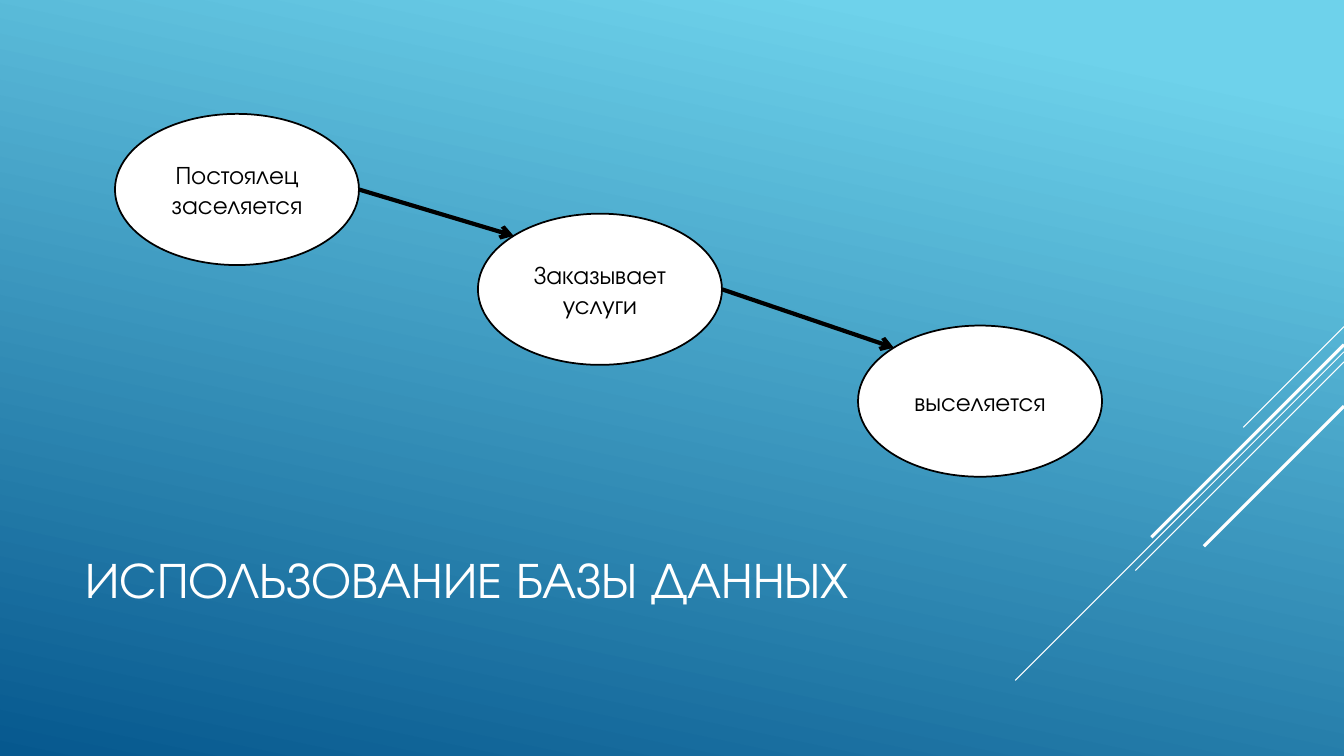
"""Build the slide on using the hotel database: three guest steps linked by arrows."""
import math

import lxml.etree
import pptx
import pptx.dml.color
import pptx.enum.dml
import pptx.enum.shapes
import pptx.enum.text
import pptx.oxml.ns
import pptx.util

Inches = pptx.util.Inches
RGBColor = pptx.dml.color.RGBColor
WHITE = RGBColor(0xFF, 0xFF, 0xFF)
BLACK = RGBColor(0, 0, 0)
SKY = RGBColor(0x6E, 0xD2, 0xEB)
DEEP_BLUE = RGBColor(0x06, 0x58, 0x8E)
FONT = "TeX Gyre Adventor"

SLIDE_WIDTH, SLIDE_HEIGHT = 13.33, 7.5
TITLE = "ИСПОЛЬЗОВАНИЕ БАЗЫ ДАННЫХ"
STEP_WIDTH, STEP_HEIGHT = 2.42, 1.5
STEPS = [
    ("Постоялец заселяется", 1.14, 1.13),
    ("Заказывает услуги", 4.74, 2.12),
    ("выселяется", 8.51, 3.23),
]
DIAGONALS = [
    (3.24, 1.0, 0.75),
    (3.49, 3.26, 0.75),
    (3.59, 2.07, 0.75),
    (3.42, 1.91, 2.25),
    (4.03, 1.39, 2.25),
]


def add_line(slide, start, end, color, weight, arrow=False):
    points = [Inches(value) for value in (*start, *end)]
    line = slide.shapes.add_connector(pptx.enum.shapes.MSO_CONNECTOR.STRAIGHT, *points)
    line.line.color.rgb = color
    line.line.width = pptx.util.Pt(weight)
    if arrow:
        outline = line.line._get_or_add_ln()
        lxml.etree.SubElement(outline, pptx.oxml.ns.qn("a:tailEnd"), type="arrow")
    lxml.etree.SubElement(line._element.spPr, pptx.oxml.ns.qn("a:effectLst"))


def write_text(shape, text, size, color, alignment):
    frame = shape.text_frame
    frame.text = text
    frame.word_wrap = True
    frame.vertical_anchor = pptx.enum.text.MSO_ANCHOR.MIDDLE
    paragraph = frame.paragraphs[0]
    paragraph.alignment = alignment
    font = paragraph.runs[0].font
    font.name = FONT
    font.size = pptx.util.Pt(size)
    font.color.rgb = color


def add_step(slide, text, left, top):
    step = slide.shapes.add_shape(
        pptx.enum.shapes.MSO_SHAPE.OVAL,
        Inches(left), Inches(top), Inches(STEP_WIDTH), Inches(STEP_HEIGHT),
    )
    step.shadow.inherit = False
    step.fill.solid()
    step.fill.fore_color.rgb = WHITE
    step.line.color.rgb = BLACK
    step.line.width = pptx.util.Pt(1.25)
    write_text(step, text, 18, BLACK, pptx.enum.text.PP_ALIGN.CENTER)


presentation = pptx.Presentation()
presentation.slide_width = Inches(SLIDE_WIDTH)
presentation.slide_height = Inches(SLIDE_HEIGHT)
slide = presentation.slides.add_slide(presentation.slide_layouts[6])

background = slide.background.fill
background.gradient()
background.gradient_angle = 360 - 102
for stop, (position, color) in zip(background.gradient_stops, [(0.1, SKY), (1, DEEP_BLUE)]):
    stop.position = position
    stop.color.rgb = color

for top, reach, weight in DIAGONALS:
    add_line(slide, (SLIDE_WIDTH, top), (SLIDE_WIDTH - reach, top + reach), WHITE, weight)

title = slide.shapes.add_textbox(Inches(0.75), Inches(4.91), Inches(9.33), Inches(1.65))
write_text(title, TITLE, 36, WHITE, pptx.enum.text.PP_ALIGN.LEFT)

for text, left, top in STEPS:
    add_step(slide, text, left, top)

corner = (1 - math.cos(math.pi / 4)) / 2
for (_, left, top), (_, next_left, next_top) in zip(STEPS, STEPS[1:]):
    right_middle = (left + STEP_WIDTH, top + STEP_HEIGHT / 2)
    upper_left = (next_left + corner * STEP_WIDTH, next_top + corner * STEP_HEIGHT)
    add_line(slide, right_middle, upper_left, BLACK, 3, arrow=True)

presentation.save("out.pptx")
